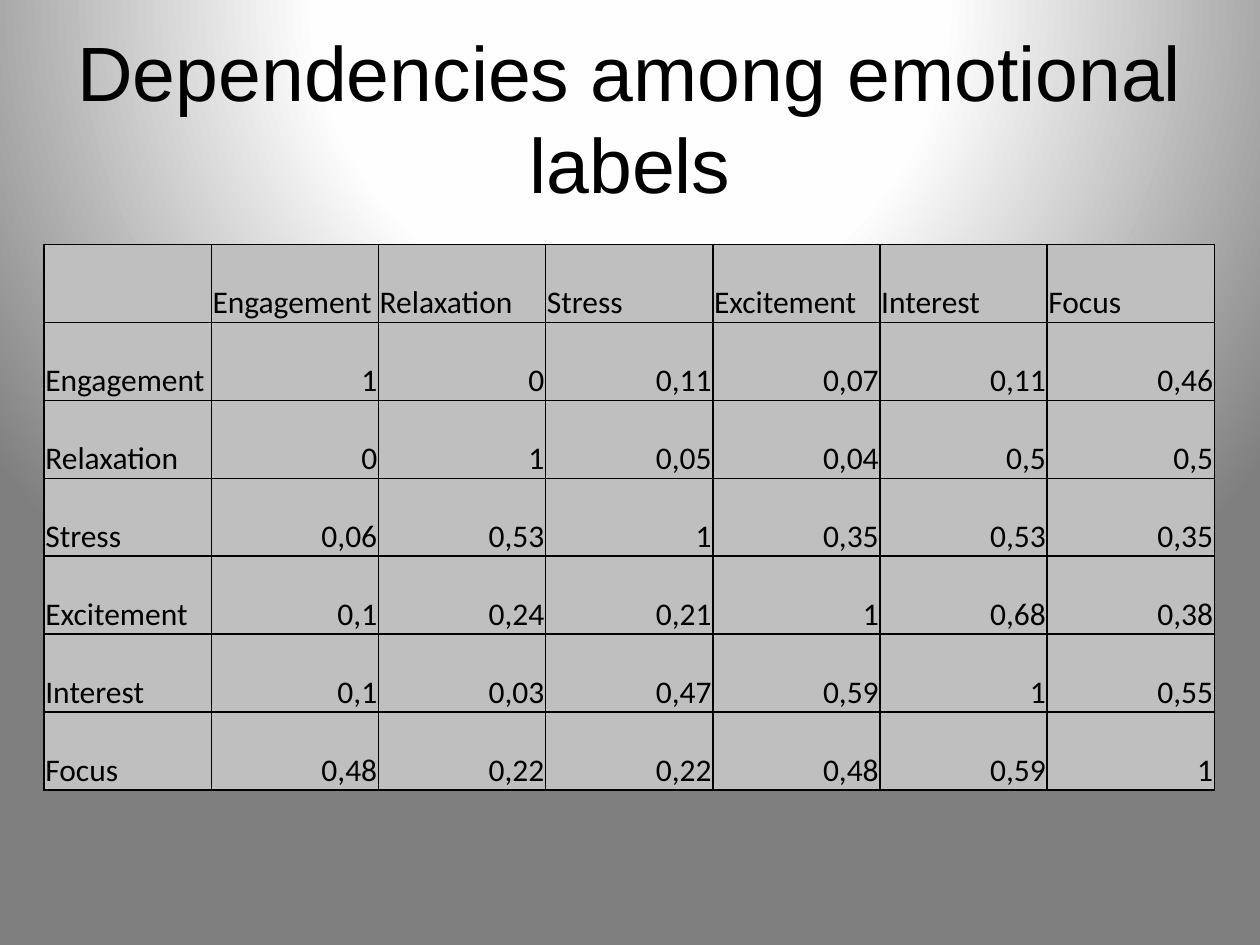
from pptx import Presentation
from pptx.dml.color import RGBColor
from pptx.enum.text import MSO_ANCHOR, PP_ALIGN
from pptx.oxml import parse_xml
from pptx.oxml.ns import nsdecls
from pptx.util import Inches, Pt

LEFT, CENTER, RIGHT = PP_ALIGN.LEFT, PP_ALIGN.CENTER, PP_ALIGN.RIGHT
MIDDLE, BOTTOM = MSO_ANCHOR.MIDDLE, MSO_ANCHOR.BOTTOM

# Content
TITLE = "Dependencies among emotional labels"
EMOTIONS = ["Engagement", "Relaxation", "Stress", "Excitement", "Interest", "Focus"]
DEPENDENCIES = [
    ["1", "0", "0,11", "0,07", "0,11", "0,46"],
    ["0", "1", "0,05", "0,04", "0,5", "0,5"],
    ["0,06", "0,53", "1", "0,35", "0,53", "0,35"],
    ["0,1", "0,24", "0,21", "1", "0,68", "0,38"],
    ["0,1", "0,03", "0,47", "0,59", "1", "0,55"],
    ["0,48", "0,22", "0,22", "0,48", "0,59", "1"],
]
THEME = {
    "ink": "000000",
    "cell": "BFBFBF",
    "backdrop": [(0, "FFFFFF"), (40, "FEFEFE"), (100, "7F7F7F")],
    "title": ("Arial", 44),
    "table": ("Calibri", 18),
    "border": 1,
}


def write(frame, text, style, align):
    frame.text = text
    paragraph = frame.paragraphs[0]
    paragraph.alignment = align
    font_name, size = THEME[style]
    for font in [paragraph.font] + [run.font for run in paragraph.runs]:
        font.name, font.size = font_name, Pt(size)
        font.color.rgb = RGBColor.from_string(THEME["ink"])


def add_borders(cell):
    properties = cell._tc.get_or_add_tcPr()
    for position, side in enumerate(("lnL", "lnR", "lnT", "lnB")):
        properties.insert(position, parse_xml(
            f'<a:{side} {nsdecls("a")} w="{Pt(THEME["border"])}"><a:solidFill>'
            f'<a:srgbClr val="{THEME["ink"]}"/></a:solidFill></a:{side}>'))


presentation = Presentation()
presentation.slide_width, presentation.slide_height = Inches(10), Inches(7.5)
slide = presentation.slides.add_slide(presentation.slide_layouts[6])

# Background: light glowing from above the top edge
stops = "".join(f'<a:gs pos="{at * 1000}"><a:srgbClr val="{color}"/></a:gs>'
                for at, color in THEME["backdrop"])
slide.element.cSld.insert(0, parse_xml(
    f'<p:bg {nsdecls("p", "a")}><p:bgPr><a:gradFill rotWithShape="1">'
    f'<a:gsLst>{stops}</a:gsLst><a:path path="circle">'
    '<a:fillToRect l="50000" t="-80000" r="50000" b="180000"/></a:path>'
    '</a:gradFill><a:effectLst/></p:bgPr></p:bg>'))

# Title
title = slide.shapes.add_textbox(Inches(0.5), Inches(0.3), Inches(9), Inches(1.25))
title.text_frame.word_wrap = True
title.text_frame.vertical_anchor = MIDDLE
write(title.text_frame, TITLE, "title", CENTER)

# Dependency table
rows = [[""] + EMOTIONS] + [[name] + values for name, values in zip(EMOTIONS, DEPENDENCIES)]
count = len(rows)
frame = slide.shapes.add_table(count, count, Inches(0.35), Inches(1.94),
                               Inches(9.29), Inches(4.33))
table = frame.table
table.first_row = table.horz_banding = False
for r, row in enumerate(rows):
    for c, text in enumerate(row):
        cell = table.cell(r, c)
        cell.margin_left = cell.margin_right = cell.margin_top = Inches(0.01)
        cell.margin_bottom = 0
        cell.vertical_anchor = BOTTOM
        cell.fill.solid()
        cell.fill.fore_color.rgb = RGBColor.from_string(THEME["cell"])
        add_borders(cell)
        write(cell.text_frame, text, "table", RIGHT if r and c else LEFT)

presentation.save("out.pptx")
